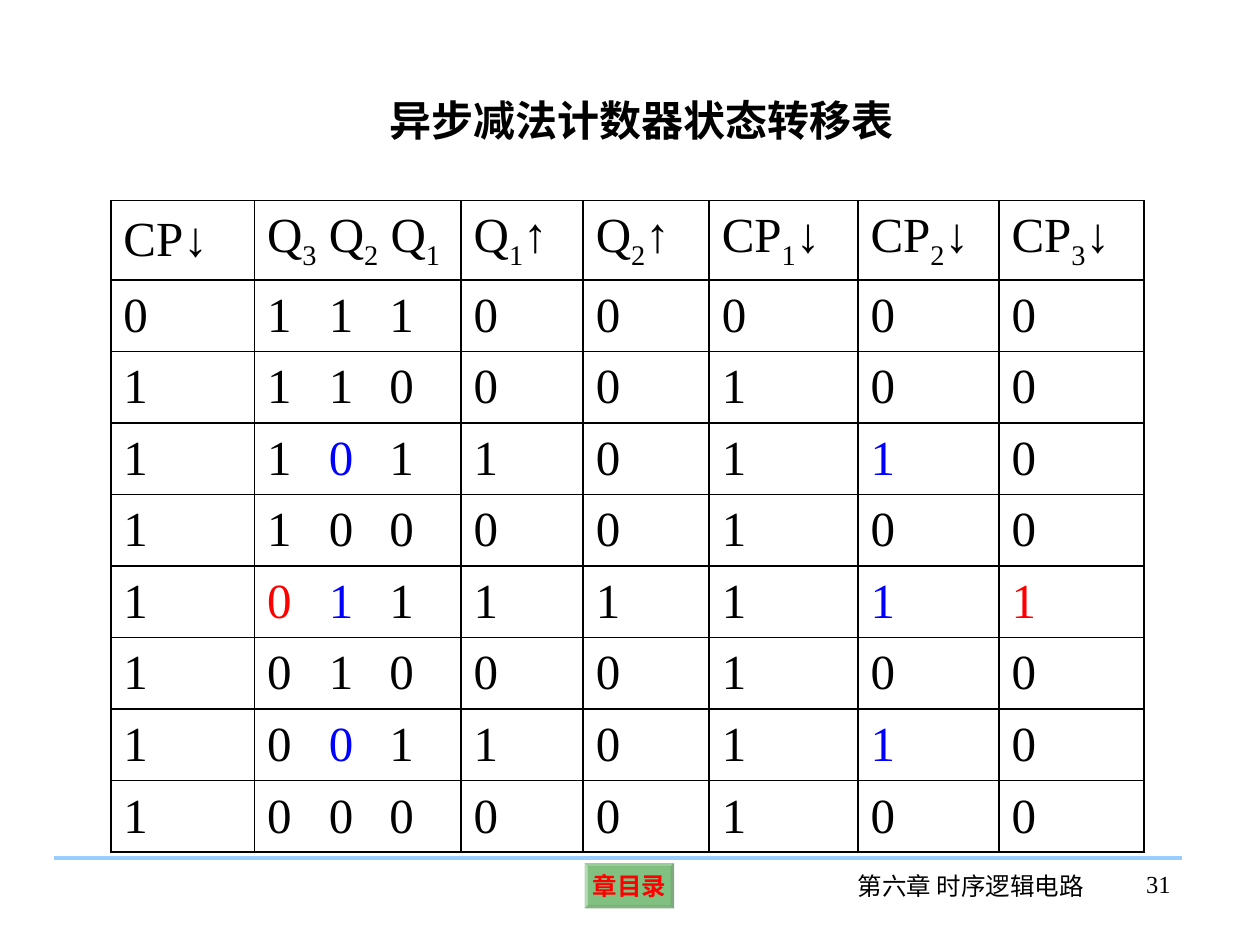
from lxml.etree import SubElement
from pptx import Presentation
from pptx.dml.color import RGBColor
from pptx.enum.shapes import MSO_CONNECTOR, MSO_SHAPE
from pptx.enum.text import MSO_ANCHOR, MSO_AUTO_SIZE, PP_ALIGN
from pptx.oxml.ns import qn
from pptx.util import Inches, Pt

BLACK = RGBColor(0x00, 0x00, 0x00)
BLUE = RGBColor(0x00, 0x00, 0xFF)
RED = RGBColor(0xFF, 0x00, 0x00)
GREEN = RGBColor(0x00, 0x80, 0x00)
SKY = RGBColor(0x99, 0xCC, 0xFF)

HEADINGS = ["CP↓", "Q3 Q2 Q1", "Q1↑", "Q2↑", "CP1↓", "CP2↓", "CP3↓"]
# CP, state Q3Q2Q1, Q1 rise, Q2 rise, CP1, CP2, CP3
STATES = [
    "0 111 0 0 0 0 0",
    "1 110 0 0 1 0 0",
    "1 101 1 0 1 1 0",
    "1 100 0 0 1 0 0",
    "1 011 1 1 1 1 1",
    "1 010 0 0 1 0 0",
    "1 001 1 0 1 1 0",
    "1 000 0 0 1 0 0",
]
COLUMN_WIDTHS = [11.4, 16.4, 9.7, 10, 11.8, 11.2, 11.5]
HEADER_HEIGHT, STATE_HEIGHT = 8.4, 7.57
STATE_TABS = [0.49, 0.97]


class SlideBuilder:
    """Holds the style and the slide; lengths are percentages of the slide."""

    font_name = "Times New Roman"

    def __init__(self, presentation):
        self.width = presentation.slide_width
        self.height = presentation.slide_height
        self.slide = presentation.slides.add_slide(presentation.slide_layouts[5])

    def across(self, share):
        return int(self.width * share / 100)

    def down(self, share):
        return int(self.height * share / 100)

    def box(self, x, y, w, h):
        return self.across(x), self.down(y), self.across(w), self.down(h)

    def style(self, paragraph, size, color=BLACK, bold=False, align=PP_ALIGN.LEFT):
        paragraph.alignment = align
        font = paragraph.font
        font.name, font.size, font.bold = self.font_name, Pt(size), bold
        font.color.rgb = color

    def title(self, text, *place):
        title = self.slide.shapes.title
        title.left, title.top, title.width, title.height = self.box(*place)
        frame = title.text_frame
        frame.text = text
        frame.vertical_anchor = MSO_ANCHOR.TOP
        frame.auto_size = MSO_AUTO_SIZE.SHAPE_TO_FIT_TEXT
        self.style(frame.paragraphs[0], 24, bold=True)

    def label(self, text, align, *place):
        frame = self.slide.shapes.add_textbox(*self.box(*place)).text_frame
        frame.word_wrap = True
        frame.text = text
        self.style(frame.paragraphs[0], 14, align=align)

    def rule(self, x1, x2, y):
        line = self.slide.shapes.add_connector(
            MSO_CONNECTOR.STRAIGHT, self.across(x1), self.down(y), self.across(x2), self.down(y))
        line.line.color.rgb, line.line.width = SKY, Pt(2.25)
        SubElement(line._element.spPr, qn("a:effectLst"))

    def button(self, text, *place):
        button = self.slide.shapes.add_shape(MSO_SHAPE.BEVEL, *self.box(*place))
        button.adjustments[0] = 0.07
        button.shadow.inherit = False
        button.line.fill.background()
        button.fill.solid()
        button.fill.fore_color.rgb = GREEN
        green = button._element.spPr.find(qn("a:solidFill"))[0]
        SubElement(green, qn("a:alpha"), val="49000")
        frame = button.text_frame
        frame.word_wrap = False
        frame.margin_left = frame.margin_right = Inches(0.04)
        frame.margin_top = frame.margin_bottom = Inches(0.04)
        frame.vertical_anchor = MSO_ANCHOR.MIDDLE
        frame.text = text
        self.style(frame.paragraphs[0], 14, RED, True, PP_ALIGN.CENTER)

    def table(self, x, y, widths, heights):
        table = self.slide.shapes.add_table(
            len(heights), len(widths), *self.box(x, y, sum(widths), sum(heights))).table
        table.first_row = table.horz_banding = False
        for column, width in zip(table.columns, widths):
            column.width = self.across(width)
        for row, height in zip(table.rows, heights):
            row.height = self.down(height)
        return table

    def cell(self, cell, pieces, tabs=()):
        """Fill a cell with (text, color, is_subscript) pieces."""
        properties = cell._tc.get_or_add_tcPr()
        for side in ("lnL", "lnR", "lnT", "lnB"):
            border = SubElement(properties, qn(f"a:{side}"), w=str(Pt(1.08)))
            fill = SubElement(border, qn("a:solidFill"))
            SubElement(fill, qn("a:srgbClr"), val=str(BLACK))
        cell.fill.background()
        cell.vertical_anchor = MSO_ANCHOR.MIDDLE
        paragraph = cell.text_frame.paragraphs[0]
        if tabs:
            stops = SubElement(paragraph._p.get_or_add_pPr(), qn("a:tabLst"))
            for stop in tabs:
                SubElement(stops, qn("a:tab"), pos=str(Inches(stop)), algn="l")
        self.style(paragraph, 28)
        for text, color, is_subscript in pieces:
            run = paragraph.add_run()
            run.text = text
            if color != BLACK:
                run.font.color.rgb = color
            if is_subscript:
                run._r.get_or_add_rPr().set("baseline", "-25000")


def main():
    presentation = Presentation()
    presentation.slide_width, presentation.slide_height = Inches(10), Inches(7.5)
    builder = SlideBuilder(presentation)

    # Footer
    builder.button("章目录", 46.4, 91.33, 7.1, 4.8)
    builder.rule(4.3, 93.8, 90.8)
    builder.label("第六章 时序逻辑电路", PP_ALIGN.CENTER, 66.6, 91.47, 20.9, 6.67)
    builder.label("31", PP_ALIGN.RIGHT, 85.3, 91.33, 8.6, 6.67)

    # Title
    builder.title("异步减法计数器状态转移表", 29.9, 9.33, 42.3, 7.6)

    # State transition table: digits in the headings are subscripts
    heights = [HEADER_HEIGHT] + [STATE_HEIGHT] * len(STATES)
    table = builder.table(8.8, 21.2, COLUMN_WIDTHS, heights)
    for column, heading in enumerate(HEADINGS):
        pieces = [(letter, BLACK, letter.isdigit()) for letter in heading]
        builder.cell(table.cell(0, column), pieces)

    # A clock on CP2 marks Q2 blue, a clock on CP3 marks Q3 red
    for row, state in enumerate(STATES, start=1):
        values = state.split()
        cp2_color = BLUE if values[5] == "1" else BLACK
        cp3_color = RED if values[6] == "1" else BLACK
        clock_colors = {5: cp2_color, 6: cp3_color}
        for column, value in enumerate(values):
            if column == 1:
                q3, q2, q1 = value
                pieces = [(q3 + "\t", cp3_color, False), (q2, cp2_color, False),
                          ("\t" + q1, BLACK, False)]
                builder.cell(table.cell(row, column), pieces, STATE_TABS)
            else:
                color = clock_colors.get(column, BLACK)
                builder.cell(table.cell(row, column), [(value, color, False)])

    presentation.save("out.pptx")


if __name__ == "__main__":
    main()
